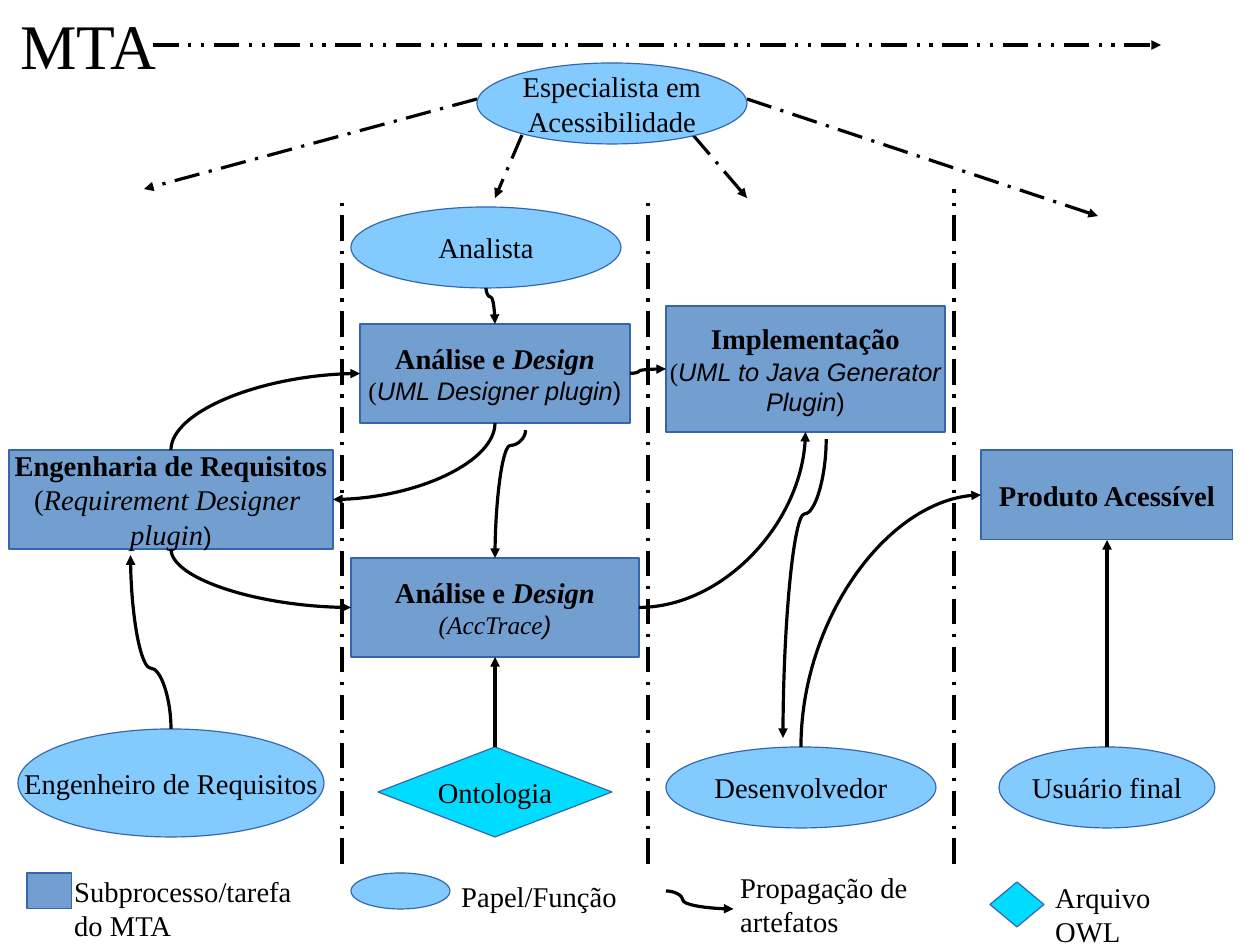
from lxml import etree
from pptx import Presentation
from pptx.dml.color import RGBColor
from pptx.enum.dml import MSO_LINE
from pptx.enum.shapes import MSO_CONNECTOR, MSO_SHAPE
from pptx.enum.text import MSO_ANCHOR, PP_ALIGN
from pptx.oxml.ns import qn
from pptx.util import Cm, Pt

BOX, RECT = MSO_SHAPE.FLOWCHART_PROCESS, MSO_SHAPE.RECTANGLE
OVAL, GEM = MSO_SHAPE.OVAL, MSO_SHAPE.DIAMOND
LINE, CURVE = MSO_CONNECTOR.STRAIGHT, MSO_CONNECTOR.CURVE
DOT, DOTS = MSO_LINE.LONG_DASH_DOT, MSO_LINE.DASH_DOT_DOT
MID, TOP = MSO_ANCHOR.MIDDLE, MSO_ANCHOR.TOP
MIDDLE, LEFT = PP_ALIGN.CENTER, PP_ALIGN.LEFT

# The slide is a grid of 140 columns by 105 rows
COLS, ROWS = 140, 105
UNIT = Cm(0.2)
SERIF, SANS = "Times New Roman", "Arial"
TASK, ROLE, FILE = "729FCF", "83CAFF", "00DCFF"
EDGE, INK = "3465AF", "000000"


def grid(*cells):
    return [round(cell * UNIT) for cell in cells]


def paint(target, tone):
    target.rgb = RGBColor.from_string(tone)


def run(text, style="", size=18, face=SERIF):
    return text, style, size, face


def write(frame, paras, align):
    """Each paragraph is a list of runs."""
    for i, runs in enumerate(paras):
        para = frame.paragraphs[0] if i == 0 else frame.add_paragraph()
        para.alignment = align
        for text, style, size, face in runs:
            part = para.add_run()
            part.text = text
            font = part.font
            font.name, font.size = face, Pt(size)
            font.bold, font.italic = "b" in style, "i" in style
            paint(font.color, INK)


def node(slide, kind, tone, cells, *paras):
    shape = slide.shapes.add_shape(kind, *grid(*cells))
    shape.shadow.inherit = False
    shape.fill.solid()
    paint(shape.fill.fore_color, tone)
    paint(shape.line.color, EDGE)
    shape.line.width = Pt(0)
    frame = shape.text_frame
    frame.word_wrap = False
    frame.vertical_anchor = MID
    write(frame, paras, MIDDLE)


def label(slide, cells, text, size=18):
    frame = slide.shapes.add_textbox(*grid(*cells)).text_frame
    frame.word_wrap = True
    frame.vertical_anchor = TOP
    write(frame, [[run(text, size=size)]], LEFT)


def link(slide, kind, ends, dash=None, head=True):
    wire = slide.shapes.add_connector(kind, *grid(*ends))
    paint(wire.line.color, INK)
    wire.line.width = Pt(0)
    if dash:
        wire.line.dash_style = dash
    props = wire._element.spPr
    if head:
        etree.SubElement(props.find(qn("a:ln")), qn("a:tailEnd"), type="triangle")
    etree.SubElement(props, qn("a:effectLst"))
    return props


def curve(slide, ends, bend=None, upright=True):
    """A quarter turn, or an S whose middle lies at the share bend."""
    if upright:
        # Lay the curve flat around its centre, then turn it
        x1, y1, x2, y2 = ends
        midx, midy = (x1 + x2) / 2, (y1 + y2) / 2
        wide, high = abs(y2 - y1) / 2, abs(x2 - x1) / 2
        if (x2 > x1) == (y2 > y1):
            high = -high
        ends = midx - wide, midy - high, midx + wide, midy + high
        turn = 90 if y2 > y1 else 270
    props = link(slide, CURVE, ends)
    if upright:
        props.find(qn("a:xfrm")).set("rot", str(turn * 60000))
    geom = props.find(qn("a:prstGeom"))
    if bend is None:
        geom.set("prst", "curvedConnector2")
    else:
        share = f"val {round(bend * 100000)}"
        etree.SubElement(geom.find(qn("a:avLst")), qn("a:gd"), name="adj1", fmla=share)


def tasks(slide):
    node(slide, BOX, TASK, (1, 50, 36, 11),
         [run("Engenharia de Requisitos", "b")],
         [run("("), run("Requirement Designer ", "i")],
         [run("plugin", "i"), run(")", "", 16, SANS)])
    study = [run("Análise e ", "b"), run("Design", "bi")]
    node(slide, BOX, TASK, (40, 36, 30, 11), study,
         [run("(", "", 16), run("UML Designer plugin", "i", 16, SANS),
          run(")", "", 16, SANS)])
    node(slide, BOX, TASK, (39, 62, 32, 11), study,
         [run("(AccTrace", "i", 16), run(")", "i", 16, SANS)])
    node(slide, BOX, TASK, (74, 34, 31, 14),
         [run("Implementação", "b")],
         [run("(", "", 16), run("UML to Java Generator", "i", 16, SANS)],
         [run("Plugin", "i", 16, SANS), run(")", "", 16, SANS)])
    node(slide, RECT, TASK, (109, 50, 28, 10), [run("Produto Acessível", "b")])


def roles(slide):
    for cells, *names in (
        ((53, 7, 30, 9), "Especialista em", "Acessibilidade"),
        ((39, 23, 30, 9), "Analista"),
        ((2, 81, 34, 12), "Engenheiro de Requisitos"),
        ((74, 83, 30, 9), "Desenvolvedor"),
        ((111, 83, 24, 9), "Usuário final"),
    ):
        node(slide, OVAL, ROLE, cells, *[[run(name)] for name in names])
    node(slide, GEM, FILE, (42, 83, 26, 10), [run("Ontologia")])


def lanes(slide):
    label(slide, (1, 0, 42, 9), "MTA", 40)
    link(slide, LINE, (17, 5, 129, 5), DOTS)
    for col, top in ((38, 22), (72, 22), (106, 21)):
        link(slide, LINE, (col, 96, col, top), DOT, head=False)
    # From the specialist to each lane
    for ends in ((53, 11, 16, 21), (58, 15, 55, 22),
                 (83, 11, 122, 24), (77, 15, 83, 22)):
        link(slide, LINE, ends, DOT)


def flows(slide):
    # Straight up
    for col, low, high in ((55, 83, 73), (123, 83, 60)):
        link(slide, LINE, (col, low, col, high))
    # Quarter turns
    for ends in ((19, 61, 39, 67.5), (19, 50, 40, 41.5),
                 (55, 47, 37, 55.5), (89, 83, 109, 55)):
        curve(slide, ends)
    curve(slide, (71, 67.5, 89.5, 48), upright=False)
    # S curves
    for ends, bend in (((19, 81, 14.5, 61.7), 0.35), ((54, 32, 55, 36), 0.25),
                       ((58.4, 47.8, 55, 62), 0.12), ((91.8, 48.8, 87, 82), 0.25)):
        curve(slide, ends, bend)
    curve(slide, (70, 41.5, 74, 41), 0.25, upright=False)


def legend(slide):
    for kind, tone, cells in ((RECT, TASK, (3, 97, 5, 4)),
                              (OVAL, ROLE, (39, 97, 11, 4)),
                              (GEM, FILE, (110, 98, 6, 5))):
        node(slide, kind, tone, cells)
    curve(slide, (74, 99, 81.5, 101), 0.25, upright=False)
    for cells, text in (((7, 96.5, 27, 8.5), "Subprocesso/tarefa do MTA"),
                        ((50, 97, 20, 5), "Papel/Função"),
                        ((81, 96, 27, 8.5), "Propagação de artefatos"),
                        ((116, 97.1, 20, 8.5), "Arquivo OWL")):
        label(slide, cells, text)


def main():
    deck = Presentation()
    deck.slide_width, deck.slide_height = grid(COLS, ROWS)
    slide = deck.slides.add_slide(deck.slide_layouts[6])
    for draw in (tasks, lanes, roles, flows, legend):
        draw(slide)
    deck.save("out.pptx")


if __name__ == "__main__":
    main()
